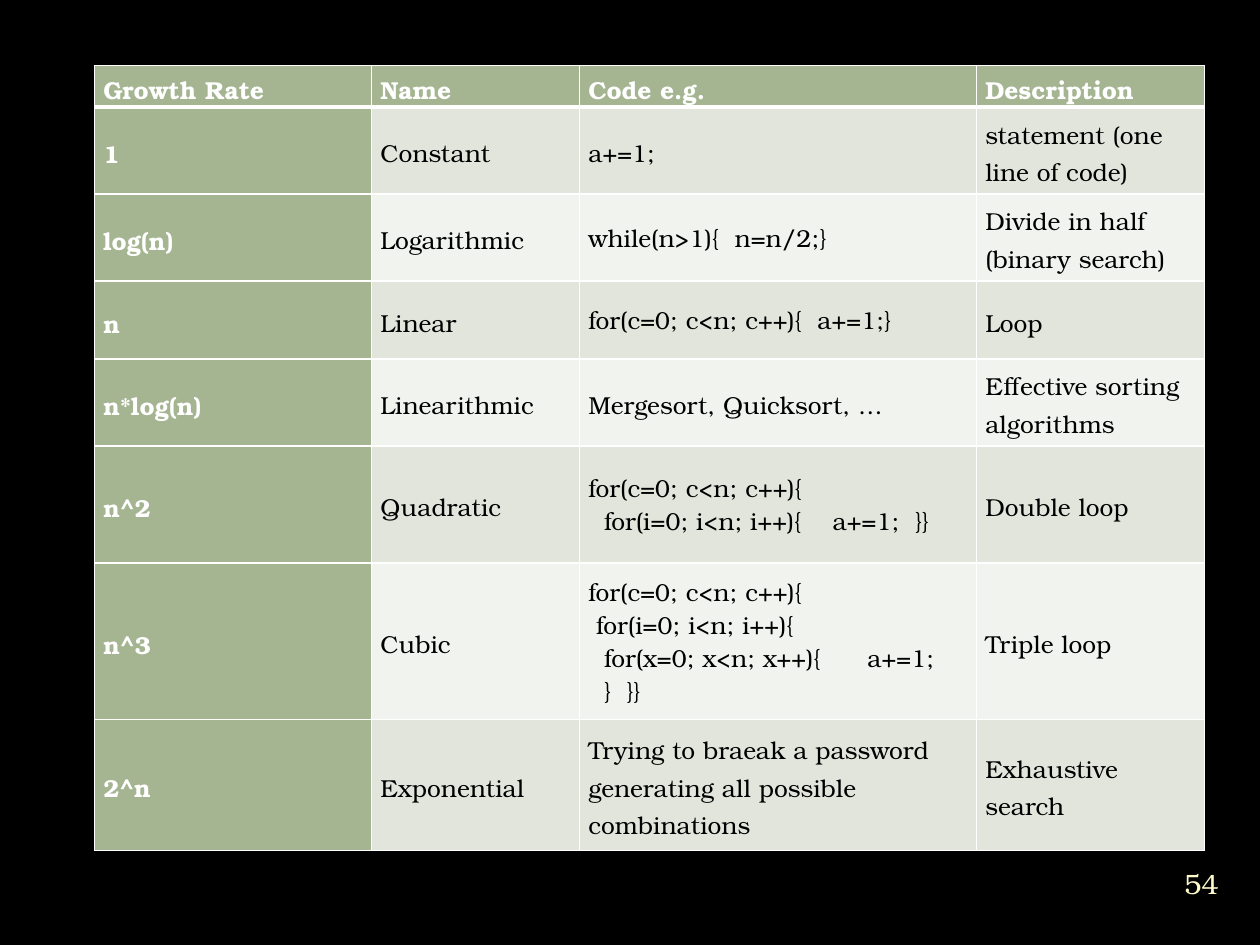
from pptx import Presentation
from pptx.dml.color import RGBColor
from pptx.enum.text import MSO_ANCHOR, PP_ALIGN
from pptx.oxml import parse_xml
from pptx.oxml.ns import nsdecls
from pptx.util import Inches, Pt

MIDDLE = MSO_ANCHOR.MIDDLE
CENTER = PP_ALIGN.CENTER
FONT = "TeX Gyre Bonum"
BLACK = RGBColor(0x00, 0x00, 0x00)
WHITE = RGBColor(0xFF, 0xFF, 0xFF)
GREEN = RGBColor(0xA5, 0xB5, 0x92)
BAND_DARK = RGBColor(0xE1, 0xE5, 0xDC)
BAND_LIGHT = RGBColor(0xF0, 0xF3, 0xEE)
CREAM = RGBColor(0xFE, 0xFA, 0xC9)

COL_WIDTHS = [2.2, 1.65, 3.15, 1.81]
ROW_HEIGHTS = [0.33, 0.69, 0.69, 0.62, 0.69, 0.93, 1.24, 1.04]
ROWS = [
    ["Growth Rate", "Name", "Code e.g.", "Description"],
    ["1", "Constant", "a+=1;", "statement (one line of code)"],
    ["log(n)", "Logarithmic", "while(n>1){  n=n/2;}", "Divide in half (binary search)"],
    ["n", "Linear", "for(c=0; c<n; c++){  a+=1;}", "Loop"],
    ["n*log(n)", "Linearithmic", "Mergesort, Quicksort, …", "Effective sorting algorithms"],
    ["n^2", "Quadratic",
     "for(c=0; c<n; c++){\n  for(i=0; i<n; i++){    a+=1;  }}", "Double loop"],
    ["n^3", "Cubic",
     "for(c=0; c<n; c++){\n for(i=0; i<n; i++){\n"
     "  for(x=0; x<n; x++){      a+=1;\n  }  }}", "Triple loop"],
    ["2^n", "Exponential",
     "Trying to braeak a password generating all possible combinations",
     "Exhaustive search"],
]


def write(tf, text, size=14, color=BLACK, bold=False, align=None, spacing=None):
    for i, line in enumerate(text.split("\n")):
        p = tf.paragraphs[0] if i == 0 else tf.add_paragraph()
        p.alignment = align
        p.line_spacing = spacing
        r = p.add_run()
        r.text = line
        r.font.name = FONT
        r.font.size = Pt(size)
        r.font.bold = bold
        r.font.color.rgb = color


def add_borders(cell, bottom=1):
    tcPr = cell._tc.get_or_add_tcPr()
    for side, width in zip("LRTB", (1, 1, 1, bottom)):
        tcPr.append(parse_xml(
            f'<a:ln{side} {nsdecls("a")} w="{Pt(width)}"><a:solidFill>'
            f'<a:srgbClr val="{WHITE}"/></a:solidFill></a:ln{side}>'))


prs = Presentation()
prs.slide_width = Inches(10)
prs.slide_height = Inches(7.5)
s = prs.slides.add_slide(prs.slide_layouts[6])
s.background.fill.solid()
s.background.fill.fore_color.rgb = BLACK

table = s.shapes.add_table(
    len(ROWS), len(COL_WIDTHS), Inches(0.75), Inches(0.52),
    Inches(sum(COL_WIDTHS)), Inches(sum(ROW_HEIGHTS))).table
table.first_col = True
for col, width in zip(table.columns, COL_WIDTHS):
    col.width = Inches(width)
for row, height in zip(table.rows, ROW_HEIGHTS):
    row.height = Inches(height)

for i, texts in enumerate(ROWS):
    for j, text in enumerate(texts):
        cell = table.cell(i, j)
        heading = i == 0 or j == 0
        band = BAND_DARK if i % 2 else BAND_LIGHT
        cell.vertical_anchor = MIDDLE
        cell.margin_left = cell.margin_right = Inches(0.07)
        cell.margin_top = cell.margin_bottom = 0
        add_borders(cell, bottom=3 if i == 0 else 1)
        cell.fill.solid()
        cell.fill.fore_color.rgb = GREEN if heading else band
        write(cell.text_frame, text, color=WHITE if heading else BLACK,
              bold=heading, spacing=None if "{" in text else 1.15)

sp = s.shapes.add_textbox(Inches(9.2), Inches(6.76), Inches(0.67), Inches(0.5))
tf = sp.text_frame
tf.word_wrap = True
tf.vertical_anchor = MIDDLE
tf.margin_left = tf.margin_right = tf.margin_top = tf.margin_bottom = 0
write(tf, "54", size=16, color=CREAM, align=CENTER)

prs.save("out.pptx")
